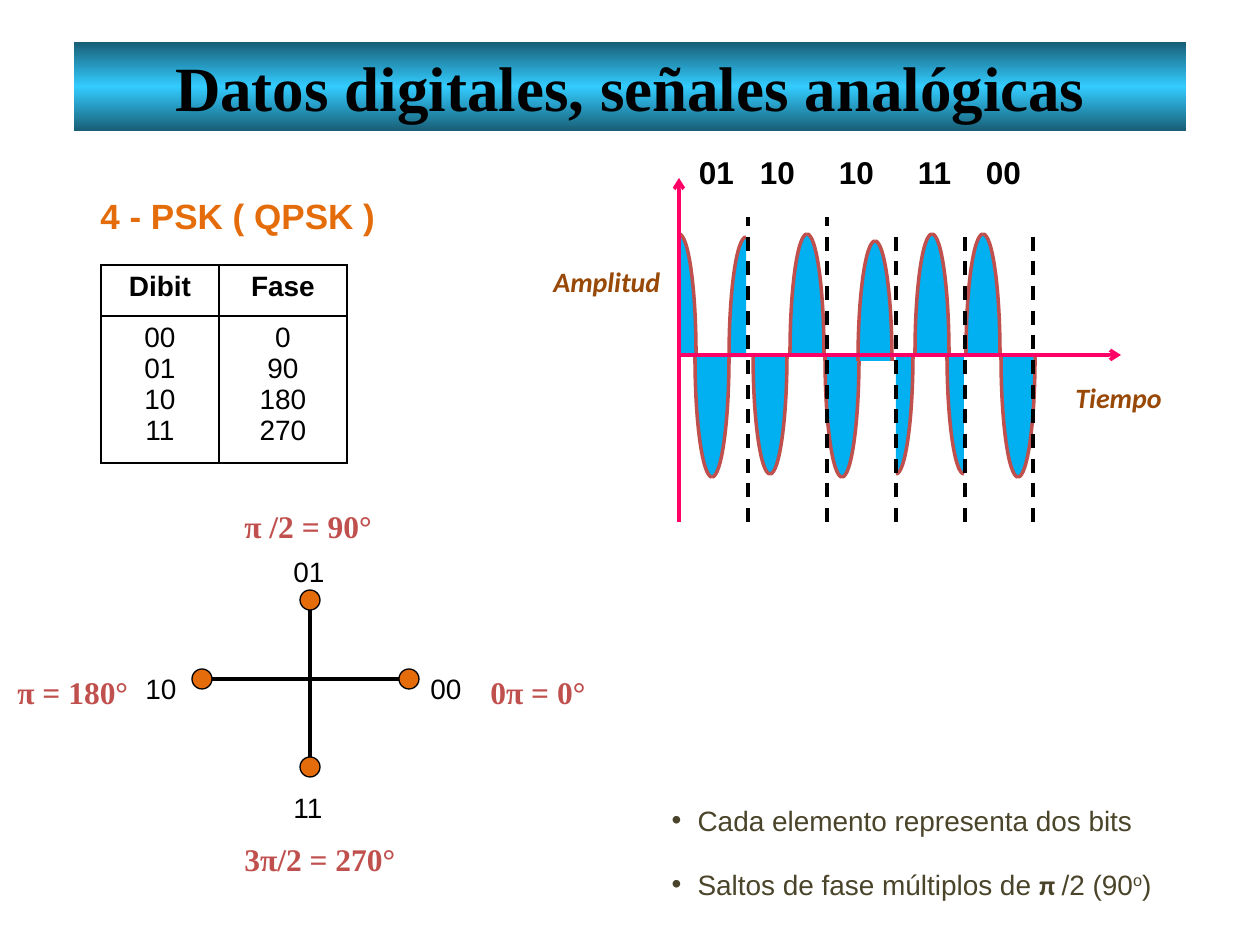
from copy import deepcopy

from lxml.etree import SubElement
from pptx import Presentation
from pptx.dml.color import RGBColor
from pptx.enum.dml import MSO_LINE as Dash
from pptx.enum.shapes import MSO_CONNECTOR as Link, MSO_SHAPE as Kind
from pptx.enum.text import MSO_ANCHOR as Anchor, MSO_AUTO_SIZE as Fit, PP_ALIGN as Align
from pptx.oxml.ns import qn
from pptx.util import Pt

PX = 914400 / 126
BLACK, ORANGE, RED, PINK = "000000", "E46C0A", "C0504D", "FF0066"
SERIF = "Times New Roman"


def px(n):
    return round(n * PX)


def rgb(code):
    return RGBColor.from_string(code)


def place(shape, x, y, w, h):
    shape.left, shape.top, shape.width, shape.height = map(px, (x, y, w, h))


def paint(shape, fill, line, width):
    shape.shadow.inherit = False
    shape.fill.solid()
    shape.fill.fore_color.rgb = rgb(fill)
    shape.line.color.rgb = rgb(line)
    shape.line.width = Pt(width)


def add_run(para, text, size, color=BLACK, face="Arial", bold=False, slant=False):
    run = para.add_run()
    run.text = text
    font = run.font
    font.size, font.name, font.bold, font.italic = Pt(size), face, bold, slant
    font.color.rgb = rgb(color)
    return run


def label(slide, box, text, size, *style, gap=1.0, before=0, **more):
    frame = slide.shapes.add_textbox(*map(px, box)).text_frame
    frame.word_wrap = True
    para = frame.paragraphs[0]
    para.alignment = Align.JUSTIFY if gap > 1 else Align.LEFT
    para.line_spacing, para.space_before = gap, Pt(before)
    add_run(para, text, size, *style, **more)
    return frame


def rule(slide, x1, y1, x2, y2, color=BLACK, dash=None, arrow=False):
    link = slide.shapes.add_connector(Link.STRAIGHT, *map(px, (x1, y1, x2, y2)))
    link.line.color.rgb = rgb(color)
    link.line.width = Pt(2)
    if dash:
        link.line.dash_style = dash
    props = link._element.spPr
    if arrow:
        SubElement(props.find(qn("a:ln")), qn("a:tailEnd"), type="arrow")
    SubElement(props, qn("a:effectLst"))


def banner(slide, x, y, w, h):
    title = slide.shapes.title
    place(title, x, y, w, h)
    fill = title.fill
    fill.gradient()
    fill.gradient_angle = 90
    first = title._element.spPr.find(".//" + qn("a:gs"))
    first.addnext(deepcopy(first))
    for stop, spot, tone in zip(fill.gradient_stops, (0, 0.5, 1), ("185E76", "33CCFF", "185E76")):
        stop.position = spot
        stop.color.rgb = rgb(tone)
    frame = title.text_frame
    frame.auto_size, frame.vertical_anchor = Fit.NONE, Anchor.MIDDLE
    para = frame.paragraphs[0]
    para.alignment = Align.CENTER
    add_run(para, "Datos digitales, señales analógicas", 36, BLACK, SERIF, True)


def note(body, box, item):
    place(body, *box)
    body.fill.solid()
    body.fill.fore_color.rgb = rgb("FFFFFF")
    frame = body.text_frame
    frame.auto_size = Fit.NONE
    para = frame.paragraphs[0]
    para.alignment = Align.JUSTIFY
    para.line_spacing, para.space_before = 1.5, Pt(0)
    props = para._p.get_or_add_pPr()
    props.set("marL", str(px(26)))
    props.set("indent", str(px(-26)))
    for text, face, bold, base in item:
        run = add_run(para, text, 16, "4A452A", face, bold)
        if base:
            run.font._element.set("baseline", str(base * 1000))


def notes(slide, x, y):
    first, second = list(slide.placeholders)[1:]
    note(first, (x, y, 542, 57), [("Cada elemento representa dos bits", "Arial", False, 0)])
    note(second, (x, y + 64, 561, 58), [
        ("Saltos de fase múltiplos de ", "Arial", False, 0), ("π ", "Calibri", True, 0),
        ("/2 (90", "Arial", False, 0), ("o", "Arial", False, 30), (")", "Arial", False, 0)])


def edge(cell):
    props = cell._tc.get_or_add_tcPr()
    for i, side in enumerate(("a:lnL", "a:lnR", "a:lnT", "a:lnB")):
        line = props.makeelement(qn(side), {"w": str(Pt(1))})
        SubElement(SubElement(line, qn("a:solidFill")), qn("a:srgbClr"), val=BLACK)
        props.insert(i, line)


def phases(slide, x, y, w, h):
    table = slide.shapes.add_table(2, 2, *map(px, (x, y, w, h))).table
    table.first_row = table.horz_banding = False
    table.columns[0].width, table.columns[1].width = px(118), px(w - 118)
    table.rows[0].height, table.rows[1].height = px(51), px(h - 51)
    rows = ((["Dibit"], ["Fase"]),
            (["00", "01", "10", "11"], ["0", "90", "180", "270"]))
    for r, row in enumerate(rows):
        for c, lines in enumerate(row):
            cell = table.cell(r, c)
            cell.fill.background()
            edge(cell)
            frame = cell.text_frame
            for i, text in enumerate(lines):
                para = frame.add_paragraph() if i else frame.paragraphs[0]
                para.alignment = Align.CENTER
                add_run(para, text, 16, bold=r == 0)


def lobe(slide, x, base, up, side):
    peak, foot = (px(x), px(base + up * 120)), (px(x + side * 17), px(base))
    pen = slide.shapes.build_freeform(*peak, scale=1.0)
    pen.add_line_segments([foot, (px(x), px(base))], close=True)
    shape = pen.convert_to_shape()
    paint(shape, "00B0F0", RED, 2)
    area = shape._element.spPr.find(".//" + qn("a:path"))
    (px1, py1), (px2, py2) = [(int(p.get("x")), int(p.get("y"))) for p in list(area.iter(qn("a:pt")))[:2]]
    bend = area.makeelement(qn("a:cubicBezTo"), {})
    for cx, cy in ((px1 + 0.55 * (px2 - px1), py1), (px2, py2 + 0.55 * (py1 - py2)), (px2, py2)):
        SubElement(bend, qn("a:pt"), x=str(round(cx)), y=str(round(cy)))
    area.replace(area[1], bend)
    rim = deepcopy(area)
    area.set("stroke", "0")
    rim.set("fill", "none")
    for part in list(rim)[-2:]:
        rim.remove(part)
    area.addprevious(rim)


def graph(slide, x, y, w, h):
    both, left, right = (-1, 1), (-1,), (1,)
    lobes = (
        (0, 176, -1, right), (33, 179, 1, both), (67, 179, -1, left),
        (91, 176, 1, both), (128, 176, -1, both),
        (163, 179, 1, both), (196, 183, -1, both),
        (217, 176, 1, right), (253, 176, -1, both), (285, 176, 1, left),
        (304, 176, -1, both), (339, 179, 1, both),
    )
    for peak, base, up, sides in lobes:
        for side in sides:
            lobe(slide, x + peak, y + base, up, side)
    bits = label(slide, (x - 10, y - 31, 452, 50), "01\t10\t10\t11\t00", 18, bold=True)
    bits.margin_left = px(30)
    tabs = SubElement(bits.paragraphs[0]._p.get_or_add_pPr(), qn("a:tabLst"))
    for at in (61, 140, 219, 287):
        SubElement(tabs, qn("a:tab"), pos=str(px(at)), algn="l")
    for at, top in ((69, 39), (148, 39), (217, 49), (286, 49), (354, 49)):
        rule(slide, x + at, y + h, x + at, y + top, dash=Dash.DASH)
    rule(slide, x, y + h, x, y, PINK, arrow=True)
    rule(slide, x, y + 177, x + w, y + 177, PINK, arrow=True)
    for dx, dy, text in ((384, 196, "Tiempo"), (-138, 80, "Amplitud")):
        label(slide, (x + dx, y + dy, 137, 47), text, 16, "984807", "Calibri", True, True)


def stars(slide, x, y):
    cx, cy = x + 305, y + 196
    rule(slide, cx - 118, cy, cx + 108, cy)
    rule(slide, cx, cy + 98, cx, cy - 88)
    for dx, dy in ((-108, 0), (99, 0), (0, -79), (0, 88)):
        dot = slide.shapes.add_shape(Kind.OVAL, *map(px, (cx + dx - 10, cy + dy - 10, 20, 20)))
        paint(dot, ORANGE, BLACK, 0.75)
    for dx, dy, text in ((128, 166, "10"), (413, 166, "00"), (276, 49, "01"), (276, 285, "11")):
        label(slide, (x + dx, y + dy, 69, 69), text, 16, gap=1.5, before=3)
    angles = ((473, 165, 130, "0π = 0°"), (227, -1, 165, "π /2 = 90°"),
              (0, 165, 145, "π = 180°"), (227, 332, 190, "3π/2 = 270°"))
    for dx, dy, wide, text in angles:
        label(slide, (x + dx, y + dy, wide, 70), text, 18, RED, SERIF, True, gap=1.5)


def main():
    deck = Presentation()
    deck.slide_width, deck.slide_height = px(1260), px(945)
    slide = deck.slides.add_slide(deck.slide_layouts[3])
    banner(slide, 74, 42, 1112, 89)
    label(slide, (88, 167, 384, 77), "4 - PSK ( QPSK )", 20, ORANGE, bold=True, gap=1.5)
    graph(slide, 679, 178, 442, 344)
    phases(slide, 101, 265, 246, 198)
    stars(slide, 5, 483)
    notes(slide, 659, 780)
    deck.save("out.pptx")


if __name__ == "__main__":
    main()
